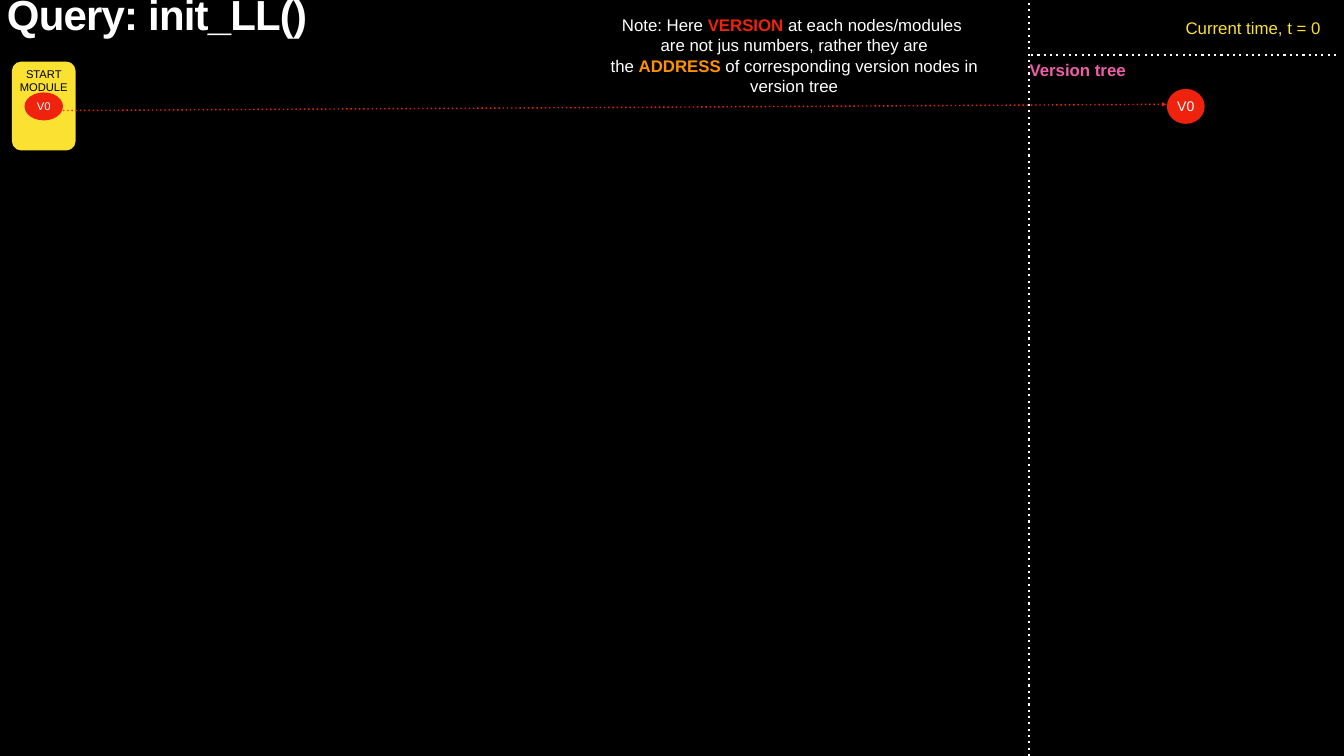
from dataclasses import dataclass

from lxml import etree
from pptx import Presentation
from pptx.dml.color import RGBColor
from pptx.enum.shapes import MSO_CONNECTOR, MSO_SHAPE
from pptx.enum.text import MSO_ANCHOR, MSO_AUTO_SIZE, PP_ALIGN
from pptx.oxml.ns import qn
from pptx.util import Pt

PX = 12700
INSET = 4
LEFT, CENTER = PP_ALIGN.LEFT, PP_ALIGN.CENTER
TOP, MIDDLE = MSO_ANCHOR.TOP, MSO_ANCHOR.MIDDLE
FIT, FIXED = MSO_AUTO_SIZE.SHAPE_TO_FIT_TEXT, MSO_AUTO_SIZE.NONE
OVAL, ROUNDED = MSO_SHAPE.OVAL, MSO_SHAPE.ROUNDED_RECTANGLE
STRAIGHT = MSO_CONNECTOR.STRAIGHT


@dataclass(frozen=True)
class Theme:
    font: str = "Arial"
    black: str = "000000"
    white: str = "FFFFFF"
    yellow: str = "FAE132"
    red: str = "EE220D"
    pink: str = "EF5FA8"
    orange: str = "FF9201"
    title: int = 60
    body: int = 24
    node: int = 20
    small: int = 16


T = Theme()


def rgb(color):
    return RGBColor.from_string(color)


def emu(*lengths):
    return [n * PX for n in lengths]


def write(sp, lines, size, align=CENTER, anchor=MIDDLE, wrap=True, fit=FIXED, spacing=1.0):
    tf = sp.text_frame
    tf.word_wrap, tf.auto_size, tf.vertical_anchor = wrap, fit, anchor
    tf.margin_left = tf.margin_right = tf.margin_top = tf.margin_bottom = INSET * PX
    for i, line in enumerate(lines):
        p = tf.add_paragraph() if i else tf.paragraphs[0]
        p.alignment, p.line_spacing = align, spacing
        for text, color, bold in line:
            r = p.add_run()
            r.text = text
            r.font.name, r.font.size, r.font.bold = T.font, Pt(size), bold
            r.font.color.rgb = rgb(color)
    return tf


def add_label(s, box, lines):
    sp = s.shapes.add_textbox(*emu(*box))
    write(sp, lines, T.body, wrap=False, fit=FIT)


def add_block(parent, kind, box, fill, text, color, size, anchor=MIDDLE):
    sp = parent.shapes.add_shape(kind, *emu(*box))
    sp.shadow.inherit = False
    sp.fill.solid()
    sp.fill.fore_color.rgb = rgb(fill)
    sp.line.fill.background()
    write(sp, [[(text, color, False)]], size, anchor=anchor)
    return sp


def add_dotted_line(s, start, end, color, width, arrow=False):
    line = s.shapes.add_connector(STRAIGHT, *emu(*start, *end))
    line.line.color.rgb, line.line.width = rgb(color), Pt(width)
    ln = line.line._get_or_add_ln()
    dash = etree.SubElement(ln, qn("a:custDash"))
    etree.SubElement(dash, qn("a:ds"), d="100000", sp="200000")
    if arrow:
        etree.SubElement(ln, qn("a:tailEnd"), type="triangle")
    etree.SubElement(line._element.spPr, qn("a:effectLst"))


def add_title(s, box):
    sp = s.shapes.add_textbox(*emu(*box))
    tf = write(sp, [[("Query: init_LL()", T.white, True)]], T.title,
               align=LEFT, anchor=TOP, spacing=0.8)
    tf.paragraphs[0].runs[0].font._element.set("spc", "-120")


def add_version_panel(s, box):
    x, y, w, h = box
    add_label(s, (x + 218, y + 22, 204, 36), [[("Current time, t = 0", T.yellow, False)]])
    add_dotted_line(s, (x, y + h), (x, y), T.white, 3)
    add_block(s, OVAL, (x + 197, y + 127, 54, 50), T.red, "V0", T.white, T.node)
    add_dotted_line(s, (x + 3, y + 78), (x + w - 6, y + 78), T.white, 3)
    add_label(s, (x - 13, y + 81, 165, 36), [[("Version tree", T.pink, True)]])


def add_start_module(s, box):
    x, y, w, h = box
    group = s.shapes.add_group_shape()
    card = add_block(group, ROUNDED, box, T.yellow, "START MODULE", T.black, T.small, TOP)
    card.adjustments[0] = 0.145
    add_block(group, OVAL, (x + 18, y + 44, 55, 40), T.red, "V0", T.white, T.small)


def add_note(s, box):
    lines = [
        [("Note: Here ", T.white, False), ("VERSION ", T.red, True),
         ("at each nodes/modules ", T.white, False)],
        [("are not jus numbers, rather they are", T.white, False)],
        [("the ", T.white, False), ("ADDRESS", T.orange, True),
         (" of corresponding version nodes in", T.white, False)],
        [("version tree", T.white, False)],
    ]
    add_label(s, box, lines)


def main():
    prs = Presentation()
    prs.slide_width, prs.slide_height = emu(1920, 1080)
    s = prs.slides.add_slide(prs.slide_layouts[6])
    s.background.fill.solid()
    s.background.fill.fore_color.rgb = rgb(T.black)
    add_title(s, (6, -7, 1244, 95))
    add_version_panel(s, (1470, 0, 450, 1080))
    add_start_module(s, (17, 88, 91, 127))
    add_note(s, (866, 17, 537, 124))
    add_dotted_line(s, (78, 158), (1666, 149), T.red, 2, arrow=True)
    prs.save("out.pptx")


if __name__ == "__main__":
    main()
